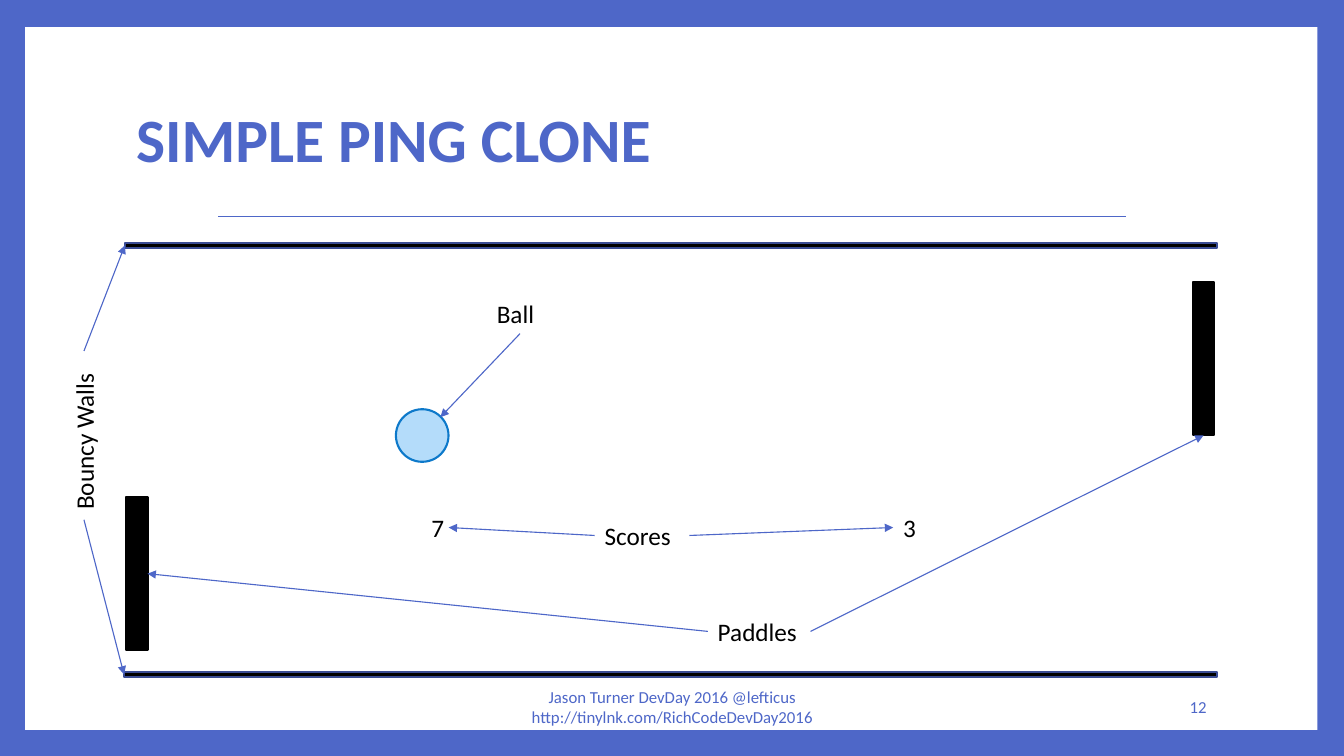
import pptx
import pptx.util
import pptx.dml.color
import pptx.enum.shapes
import pptx.enum.text
import pptx.oxml.ns
from lxml import etree

Pt = pptx.util.Pt
KIND = pptx.enum.shapes.MSO_SHAPE
ALIGN = pptx.enum.text.PP_ALIGN
ANCHOR = pptx.enum.text.MSO_ANCHOR
qn = pptx.oxml.ns.qn

# Content, all lengths in points
FONT = "Calibri"
COLORS = {"blue": "4E67C8", "navy": "3A4C94", "white": "FFFFFF",
          "black": "000000", "sky": "B4DCFA", "rim": "0D79CA"}
WIDTH, HEIGHT = 960, 540
TITLE = "SIMPLE PING CLONE"
FOOTER = "Jason Turner DevDay 2016 @lefticus\vhttp://tinylnk.com/RichCodeDevDay2016"
NUMBER = "12"

# name: (kind, left, top, width, height, fill, line)
PARTS = {
    "left paddle": (KIND.RECTANGLE, 90, 355, 15.4, 109.5, "black", "black"),
    "right paddle": (KIND.RECTANGLE, 852, 201.5, 15.4, 109.5, "black", "black"),
    "ball": (KIND.OVAL, 282.8, 292.3, 37.6, 37.6, "sky", "rim"),
    "top wall": (KIND.RECTANGLE, 89.2, 173.5, 780.4, 3.6, "black", "navy"),
    "low wall": (KIND.RECTANGLE, 88.6, 480, 780.4, 3.6, "black", "navy"),
}
# text: (left, top, width, turn)
LABELS = {
    "7": (301, 362.3, 19.5, 0),
    "3": (638, 362.3, 19.5, 0),
    "Ball": (347.8, 209.4, 48.2, 0),
    "Paddles": (505.6, 436.5, 73.4, 0),
    "Scores": (424.8, 368, 67.7, 0),
    "Bouncy Walls": (0, 296.8, 120, 270),
}
TALL = 29
TOP, LEFT, LOW, RIGHT = range(4)
# Each end is a point or a (name, side) pair
ARROWS = [
    ((371.5, 238.3), (314.6, 298)),
    (("Paddles", LEFT), ("left paddle", RIGHT)),
    (("Paddles", RIGHT), ("right paddle", LOW)),
    (("Scores", LEFT), ("7", RIGHT)),
    (("Scores", RIGHT), ("3", LEFT)),
    ((60, 250.7), ("top wall", LEFT)),
    ((60, 371.3), ("low wall", LEFT)),
]


def tint(name):
    return pptx.dml.color.RGBColor.from_string(COLORS[name])


def style(frame, size, color, align=ALIGN.LEFT, anchor=ANCHOR.TOP):
    frame.word_wrap = True
    frame.vertical_anchor = anchor
    for para in frame.paragraphs:
        para.alignment = align
        para.font.name = FONT
        para.font.size = Pt(size)
        para.font.color.rgb = tint(color)


def add_part(kind, left, top, width, height, fill, line=None):
    part = slide.shapes.add_shape(kind, Pt(left), Pt(top), Pt(width), Pt(height))
    part.shadow.inherit = False
    part.fill.solid()
    part.fill.fore_color.rgb = tint(fill)
    if line:
        part.line.color.rgb = tint(line)
        part.line.width = Pt(1.5)
    else:
        part.line.fill.background()
    return part


def add_text(text, left, top, width, size, color, **place):
    box = slide.shapes.add_textbox(Pt(left), Pt(top), Pt(width), Pt(TALL))
    box.text_frame.text = text
    style(box.text_frame, size, color, **place)
    return box


def add_line(start=(0, 0), end=(0, 0)):
    line = slide.shapes.add_connector(
        pptx.enum.shapes.MSO_CONNECTOR.STRAIGHT, *map(Pt, start + end))
    line.line.color.rgb = tint("blue")
    line.line.width = Pt(0.79)
    etree.SubElement(line.element.spPr, qn("a:effectLst"))
    return line


def add_arrow(start, end):
    joins = [spot[0] in nodes for spot in (start, end)]
    line = add_line(*((0, 0) if join else spot
                      for join, spot in zip(joins, (start, end))))
    if joins[0]:
        line.begin_connect(nodes[start[0]], start[1])
    if joins[1]:
        line.end_connect(nodes[end[0]], end[1])
    etree.SubElement(line.line._get_or_add_ln(), qn("a:tailEnd"), type="triangle")


# Slide, frame and rule
deck = pptx.Presentation()
deck.slide_width, deck.slide_height = Pt(WIDTH), Pt(HEIGHT)
slide = deck.slides.add_slide(deck.slide_layouts[5])
slide.background.fill.solid()
slide.background.fill.fore_color.rgb = tint("blue")
add_part(KIND.RECTANGLE, 18, 19.4, 923, 502, "white")
rule = add_line((156, 154.6), (804, 154.6))

# Title, placed in front of the frame
title = slide.shapes.title
rule.element.addnext(title.element)
title.left, title.top, title.width, title.height = map(Pt, (90, 48.2, 777.6, 106.6))
title.text_frame.text = TITLE
style(title.text_frame, 44, "blue", anchor=ANCHOR.MIDDLE)
title.text_frame.paragraphs[0].font.bold = True
title.text_frame.paragraphs[0].line_spacing = 0.9

# Game parts, labels and arrows
nodes = {name: add_part(*part) for name, part in PARTS.items()}
for text, (left, top, width, turn) in LABELS.items():
    nodes[text] = add_text(text, left, top, width, 18, "black")
    nodes[text].rotation = turn
for start, end in ARROWS:
    add_arrow(start, end)

# Footer
add_text(NUMBER, 734.4, 490.3, 134.6, 12, "blue",
         align=ALIGN.RIGHT, anchor=ANCHOR.MIDDLE)
add_text(FOOTER, 294.5, 490.3, 371.5, 12, "blue",
         align=ALIGN.CENTER, anchor=ANCHOR.MIDDLE)

deck.save("out.pptx")
